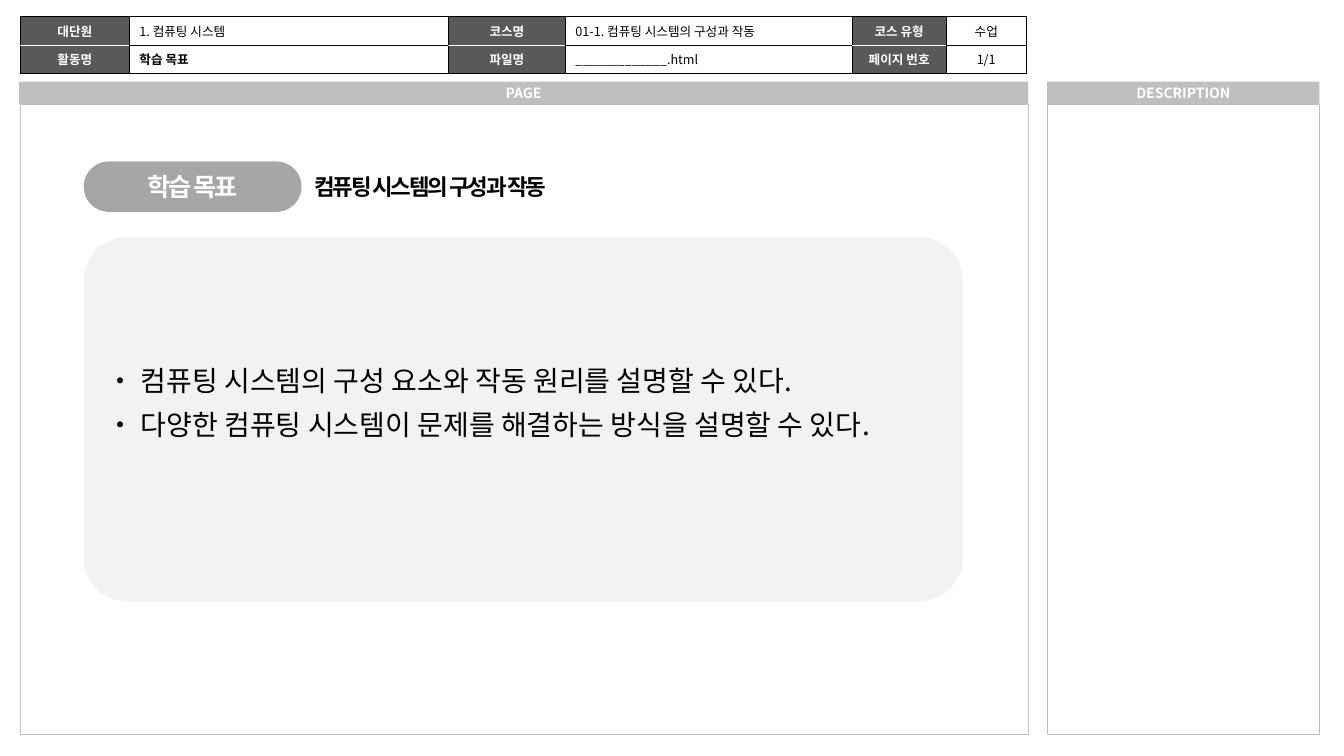
from lxml import etree
from pptx import Presentation
from pptx import util as u
from pptx.dml.color import RGBColor
from pptx.enum import shapes, text
from pptx.oxml import parse_xml
from pptx.oxml.ns import nsdecls, qn

FONT = "Noto Sans CJK KR"
LEFT, CENTER = text.PP_ALIGN.LEFT, text.PP_ALIGN.CENTER
WIDE_BULLET = "• "


def color(value):
    return RGBColor.from_string(value)


def write(frame, *lines, size, ink="000000", bold=False, align=LEFT, tracking=0, spacing=None):
    """Write one paragraph per line, each a list of spans; tracking is in points."""
    frame.word_wrap = True
    for index, spans in enumerate(lines):
        para = frame.add_paragraph() if index else frame.paragraphs[0]
        para.alignment = align
        if spacing:
            para.line_spacing = spacing
        for words in spans:
            span = para.add_run()
            span.text = words
            span.font.size = u.Pt(size)
            span.font.bold = bold
            span.font.color.rgb = color(ink)
            span.font.name = FONT
            properties = span.font._element
            if words == WIDE_BULLET:
                etree.SubElement(properties, qn("a:ea"), typeface=FONT)
            if tracking:
                properties.set("spc", str(int(tracking * 100)))


deck = Presentation()
deck.slide_width, deck.slide_height = u.Cm(33.87), u.Cm(19.05)
page = deck.slides.add_slide(deck.slide_layouts[6])

# Frames and their header bars, then the pill and the goal card
RECT, ROUND = shapes.MSO_SHAPE.RECTANGLE, shapes.MSO_SHAPE.ROUNDED_RECTANGLE
blocks = {}
for name, kind, left, top, width, height, fill, line, corner in [
    ("page frame", RECT, 0.51, 2.62, 25.4, 15.88, "FFFFFF", "BFBFBF", None),
    ("description frame", RECT, 26.39, 2.62, 6.86, 15.88, "FFFFFF", "BFBFBF", None),
    ("page header", ROUND, 0.48, 2.06, 25.43, 0.56, "BFBFBF", None, 0),
    ("description header", ROUND, 26.39, 2.06, 6.86, 0.56, "BFBFBF", None, 0),
    ("goal pill", ROUND, 2.11, 4.07, 5.49, 1.27, "A6A6A6", None, 0.5),
    ("goal card", ROUND, 2.11, 5.97, 22.15, 9.19, "F2F2F2", None, 0.12),
]:
    box = page.shapes.add_shape(kind, u.Cm(left), u.Cm(top), u.Cm(width), u.Cm(height))
    box.shadow.inherit = False
    box.fill.solid()
    box.fill.fore_color.rgb = color(fill)
    if line:
        box.line.color.rgb = color(line)
        box.line.width = u.Pt(0.25)
    else:
        box.line.fill.background()
    if corner is not None:
        box.adjustments[0] = corner
    box.text_frame.vertical_anchor = text.MSO_ANCHOR.MIDDLE
    blocks[name] = box.text_frame

for name, label in [("page header", "PAGE"), ("description header", "DESCRIPTION")]:
    write(blocks[name], [label], size=10, ink="FFFFFF", bold=True, align=CENTER)
write(blocks["goal pill"], ["학습 목표"], size=18, ink="FFFFFF", bold=True, align=CENTER, tracking=-1.5)
write(
    blocks["goal card"],
    [WIDE_BULLET, "컴퓨팅 시스템의 구성 요소와 작동 원리를 설명할 수 있다."],
    ["• 다양한 컴퓨팅 시스템이 문제를 해결하는 방식을 설명할 수 있다."],
    size=20,
    spacing=1.3,
)
blocks["goal card"].margin_bottom = u.Cm(1.24)

title = page.shapes.add_textbox(u.Cm(7.67), u.Cm(4.24), u.Cm(8), u.Cm(0.94))
write(title.text_frame, ["컴퓨팅 시스템의 구성과 작동"], size=16, bold=True, tracking=-1.5)

# Course information: a ruled table of labels under a clear table of values
labels = [
    ["대단원", "", "코스명", "", "코스 유형", ""],
    ["활동명", "", "파일명", "", "페이지 번호", ""],
]
values = [
    ["", "1. 컴퓨팅 시스템", "", "01-1. 컴퓨팅 시스템의 구성과 작동", "", "수업"],
    ["", "학습 목표", "", "_____________.html", "", "1/1"],
]
widths = [2.75, 8.04, 2.95, 7.22, 2.38, 2.01]

for rows in (labels, values):
    table = page.shapes.add_table(
        len(rows), len(widths), u.Cm(0.51), u.Cm(0.41), u.Cm(sum(widths)), u.Cm(1.44)
    ).table
    table.first_row = table.horz_banding = False
    for column, width in zip(table.columns, widths):
        column.width = u.Cm(width)

    ruled = rows is labels
    for r, row in enumerate(rows):
        for c, words in enumerate(row):
            cell = table.cell(r, c)
            cell.vertical_anchor = text.MSO_ANCHOR.MIDDLE
            if words:
                write(
                    cell.text_frame,
                    [words],
                    size=9,
                    ink="FFFFFF" if ruled else "000000",
                    bold=ruled or words == "학습 목표",
                    align=CENTER if ruled or c == 5 else LEFT,
                )
            else:
                etree.SubElement(cell.text_frame.paragraphs[0]._p, qn("a:endParaRPr"), sz="900")
            inner_edge = "lnT" if r else "lnB"
            properties = cell._tc.get_or_add_tcPr()
            for edge in ("lnL", "lnR", "lnT", "lnB"):
                stroke = "FFFFFF" if words and edge == inner_edge else "000000"
                paint = f'<a:solidFill><a:srgbClr val="{stroke}"/></a:solidFill>' if ruled else "<a:noFill/>"
                properties.append(parse_xml(
                    f'<a:{edge} {nsdecls("a")} w="{u.Pt(0.25)}">{paint}</a:{edge}>'
                ))
            if ruled and words:
                cell.fill.solid()
                cell.fill.fore_color.rgb = color("595959")
            else:
                cell.fill.background()

deck.save("out.pptx")
